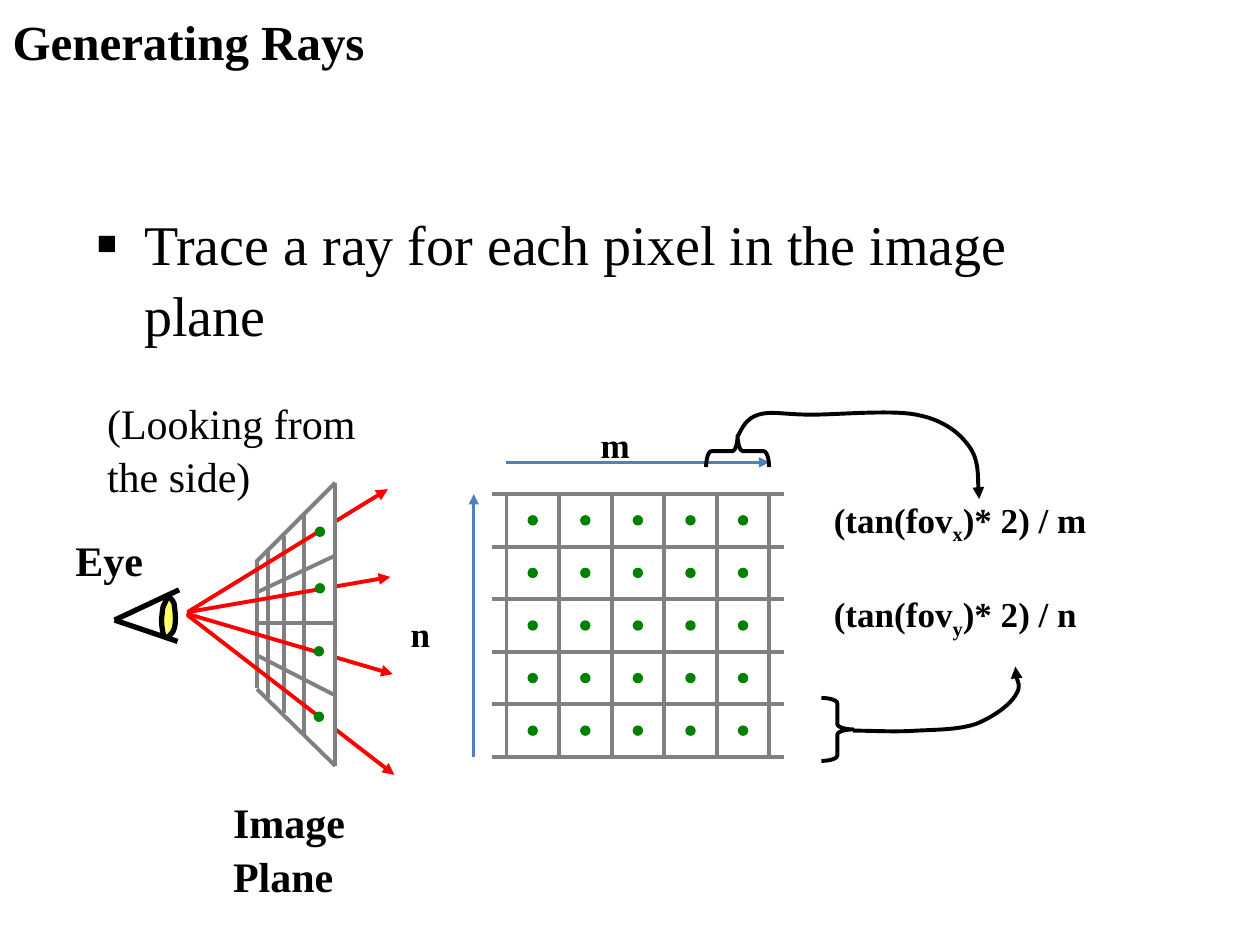
from lxml.etree import SubElement
from pptx import Presentation
from pptx.dml.color import RGBColor
from pptx.enum.shapes import MSO_CONNECTOR as Connector, MSO_SHAPE as Shape
from pptx.enum.text import MSO_ANCHOR as Anchor, MSO_AUTO_SIZE as AutoSize, PP_ALIGN as Align
from pptx.oxml.ns import qn
from pptx.util import Cm, Pt

BLACK = RGBColor(0x00, 0x00, 0x00)
WHITE = RGBColor(0xFF, 0xFF, 0xFF)
GRAY = RGBColor(0x80, 0x80, 0x80)
BLUE = RGBColor(0x4F, 0x81, 0xBD)
GREEN = RGBColor(0x00, 0x80, 0x00)
RED = RGBColor(0xFF, 0x00, 0x00)
YELLOW = RGBColor(0xFF, 0xFF, 0x66)
FONT = "Times New Roman"
LINE_SPACING = 1.06

presentation = Presentation()
presentation.slide_width, presentation.slide_height = Cm(25.4), Cm(19.05)
slide = presentation.slides.add_slide(presentation.slide_layouts[1])
shapes = slide.shapes


def draw_line(start, end, color, width=2.25):
    connector = shapes.add_connector(
        Connector.STRAIGHT, Cm(start[0]), Cm(start[1]), Cm(end[0]), Cm(end[1]))
    connector.line.color.rgb = color
    connector.line.width = Pt(width)
    SubElement(connector._element.spPr, qn("a:effectLst"))
    return connector


def draw_outline(points, fill=None, line_width=None, curved=False, close=True):
    """Draw a freeform; when curved, every three points after the first form a Bezier."""
    vertices = [(Cm(x), Cm(y)) for x, y in points]
    builder = shapes.build_freeform(*vertices[0], scale=1.0)
    builder.add_line_segments(vertices[1:], close=close)
    shape = builder.convert_to_shape()
    shape.shadow.inherit = False
    if fill is None:
        shape.fill.background()
    else:
        shape.fill.solid()
        shape.fill.fore_color.rgb = fill
    if line_width is None:
        shape.line.fill.background()
    else:
        shape.line.color.rgb = BLACK
        shape.line.width = Pt(line_width)
    if curved:
        segments = list(shape._element.iter(qn("a:lnTo")))
        for first, second, third in zip(segments[::3], segments[1::3], segments[2::3]):
            first.tag = qn("a:cubicBezTo")
            for segment in (second, third):
                first.append(segment[0])
                segment.getparent().remove(segment)
    return shape


# Title and bullet
title = shapes.title
title.left, title.top, title.width, title.height = Cm(0), Cm(0), Cm(24.56), Cm(1.57)
body = slide.placeholders[1]
body.left, body.top, body.width, body.height = Cm(1.7), Cm(4.01), Cm(21.59), Cm(12.78)
for placeholder, text, size, bold in [
    (title, "Generating Rays", 28, True),
    (body, "Trace a ray for each pixel in the image plane", 32, False),
]:
    placeholder.text_frame.auto_size = AutoSize.NONE
    paragraph = placeholder.text_frame.paragraphs[0]
    paragraph.alignment = Align.LEFT
    paragraph.line_spacing = LINE_SPACING
    run = paragraph.add_run()
    run.text = text
    run.font.name, run.font.size, run.font.bold = FONT, Pt(size), bold
    run.font.color.rgb = BLACK
title.text_frame.vertical_anchor = Anchor.MIDDLE
title.text_frame.word_wrap = False
body_paragraph = body.text_frame.paragraphs[0]
body_paragraph.space_before = Pt(6.4)
properties = body_paragraph._p.get_or_add_pPr()
properties.set("marL", str(Cm(0.95)))
properties.set("indent", str(Cm(-0.95)))
SubElement(properties, qn("a:buSzPct"), val="60000")
SubElement(properties, qn("a:buFont"), typeface=FONT)
SubElement(properties, qn("a:buChar"), char="■")

# Labels: left, top, width, height, size, bold, space between paragraphs, paragraphs of runs
labels = [
    (11.86, 8.36, 1.12, 1.12, 20, True, 0, [["m"]]),
    (8.03, 12.17, 0.94, 1.09, 20, True, 0, [["n"]]),
    (16.56, 9.86, 5.66, 2.82, 20, True, 25,
     [["(tan(fov", "x", ")* 2) / m"], ["(tan(fov", "y", ")* 2) / n"]]),
    (1.27, 10.59, 1.91, 1.27, 24, True, 0, [["Eye"]]),
    (4.45, 15.88, 2.79, 2.31, 24, True, 0, [["Image"], ["Plane"]]),
    (1.91, 7.82, 5.79, 2.31, 24, False, 0, [["(Looking from"], ["the side)"]]),
]
for left, top, width, height, size, bold, gap, paragraphs in labels:
    frame = shapes.add_textbox(Cm(left), Cm(top), Cm(width), Cm(height)).text_frame
    frame.word_wrap = False
    for index, runs in enumerate(paragraphs):
        paragraph = frame.add_paragraph() if index else frame.paragraphs[0]
        paragraph.line_spacing = LINE_SPACING
        paragraph.space_before = Pt(gap if index else 0)
        for text in runs:
            run = paragraph.add_run()
            run.text = text
            run.font.name, run.font.size, run.font.bold = FONT, Pt(size), bold
            run.font.color.rgb = BLACK
            if text in ("x", "y"):
                run.font._element.set("baseline", "-25000")

# Pixel grid, seen from the front
GRID_LEFT, GRID_TOP, CELL, CELLS, OVERHANG = 10.21, 9.96, 1.06, 5, 0.3
grid_right, grid_bottom = GRID_LEFT + CELLS * CELL, GRID_TOP + CELLS * CELL
for index in range(CELLS + 1):
    x, y = GRID_LEFT + index * CELL, GRID_TOP + index * CELL
    draw_line((GRID_LEFT - OVERHANG, y), (grid_right + OVERHANG, y), GRAY)
    draw_line((x, GRID_TOP), (x, grid_bottom), GRAY)
arrows = [
    draw_line((GRID_LEFT, 9.32), (grid_right, 9.32), BLUE, 1.5),
    draw_line((9.55, grid_bottom), (9.55, GRID_TOP), BLUE, 1.5),
]

# Eye
for end in [(3.61, 11.89), (3.58, 12.93)]:
    draw_line((2.31, 12.5), end, BLACK, 3)
draw_outline(
    [(3.35, 12.01), (3.43, 12.04), (3.48, 12.09), (3.51, 12.17),
     (3.51, 12.22), (3.61, 12.67), (3.43, 12.8), (3.4, 12.85), (3.38, 12.85), (3.33, 12.85),
     (3.3, 12.78), (3.3, 12.83), (3.28, 12.73), (3.25, 12.52), (3.25, 12.55), (3.28, 12.27),
     (3.28, 12.19), (3.4, 12.09), (3.35, 12.01)],
    fill=YELLOW, line_width=3, curved=True)

# Image plane seen from the side; white panels hide the rays behind it
for x, top, bottom in [(5.18, 11.3, 13.87), (5.41, 11.07, 14.07),
                       (5.72, 10.8, 14.38), (6.12, 10.36, 14.81)]:
    draw_line((x, top), (x, bottom), GRAY)
for start, end in [((3.78, 12.4), (7.95, 15.62)), ((3.76, 12.37), (7.92, 13.59)),
                   ((3.78, 12.34), (7.82, 9.86)), ((3.78, 12.34), (7.87, 11.63))]:
    arrows.append(draw_line(start, end, RED))
for panel in [
    [(6.76, 11.2), (6.76, 12.57), (6.43, 12.57), (6.43, 11.35)],
    [(6.76, 9.78), (6.76, 11.15), (6.48, 11.3), (6.48, 10.03)],
    [(6.73, 15.44), (6.73, 14), (6.45, 13.84), (6.43, 15.19)],
    [(6.78, 14), (6.78, 12.57), (6.43, 12.57), (6.43, 13.84)],
]:
    draw_outline(panel, fill=WHITE)
for start, end in [((6.76, 9.73), (5.16, 11.33)), ((6.76, 15.44), (5.18, 13.89)),
                   ((5.18, 13.21), (6.76, 14.02)), ((5.18, 12.55), (6.76, 12.55)),
                   ((5.18, 11.94), (6.76, 11.2)), ((6.76, 9.73), (6.76, 15.44))]:
    draw_line(start, end, GRAY)

# Pixel centres on the grid and on the image plane
DOT = 0.21
centres = [(GRID_LEFT + (column + 0.5) * CELL, GRID_TOP + (row + 0.5) * CELL)
           for row in range(CELLS) for column in range(CELLS)]
centres += [(6.45, 10.72), (6.45, 11.86), (6.43, 13.13), (6.43, 14.45)]
for x, y in centres:
    dot = shapes.add_shape(Shape.OVAL, Cm(x - DOT / 2), Cm(y - DOT / 2), Cm(DOT), Cm(DOT))
    dot.shadow.inherit = False
    dot.fill.solid()
    dot.fill.fore_color.rgb = GREEN
    dot.line.fill.background()

# Braces around one pixel, with curved arrows to the formulas
for left, top, rotation in [(14.55, 8.46, 270), (16.56, 14.07, 0)]:
    brace = shapes.add_shape(Shape.RIGHT_BRACE, Cm(left), Cm(top), Cm(0.64), Cm(1.27))
    brace.rotation = rotation
    brace.adjustments[0] = 0.17
    brace.shadow.inherit = False
    brace.fill.background()
    brace.line.color.rgb = BLACK
    brace.line.width = Pt(2.25)
for curve in [
    [(14.88, 8.79), (14.96, 8.61), (15.06, 8.43), (15.29, 8.36),
     (15.54, 8.28), (15.82, 8.36), (16.36, 8.36), (16.89, 8.36), (17.96, 8.26), (18.47, 8.36),
     (19, 8.46), (19.33, 8.71), (19.53, 8.99), (19.74, 9.27), (19.71, 9.86), (19.74, 10.06)],
    [(17.2, 14.73), (17.63, 14.73), (18.03, 14.76), (18.47, 14.73),
     (18.87, 14.71), (19.38, 14.71), (19.71, 14.58), (20.02, 14.45), (20.35, 14.22), (20.47, 14.02),
     (20.6, 13.82), (20.4, 13.44), (20.47, 13.44)],
]:
    arrows.append(draw_outline(curve, line_width=2.25, curved=True, close=False))

for arrow in arrows:
    SubElement(arrow._element.spPr.find(qn("a:ln")), qn("a:tailEnd"), type="triangle")

presentation.save("out.pptx")
